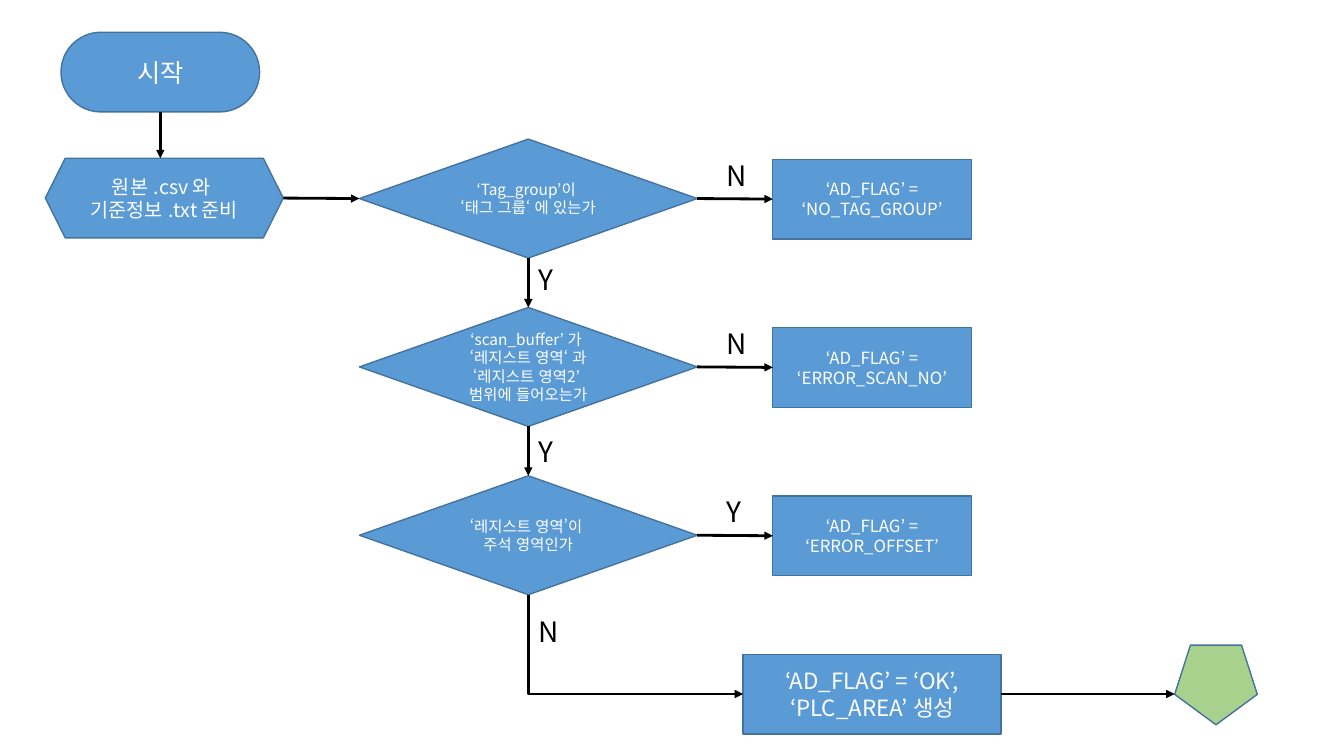
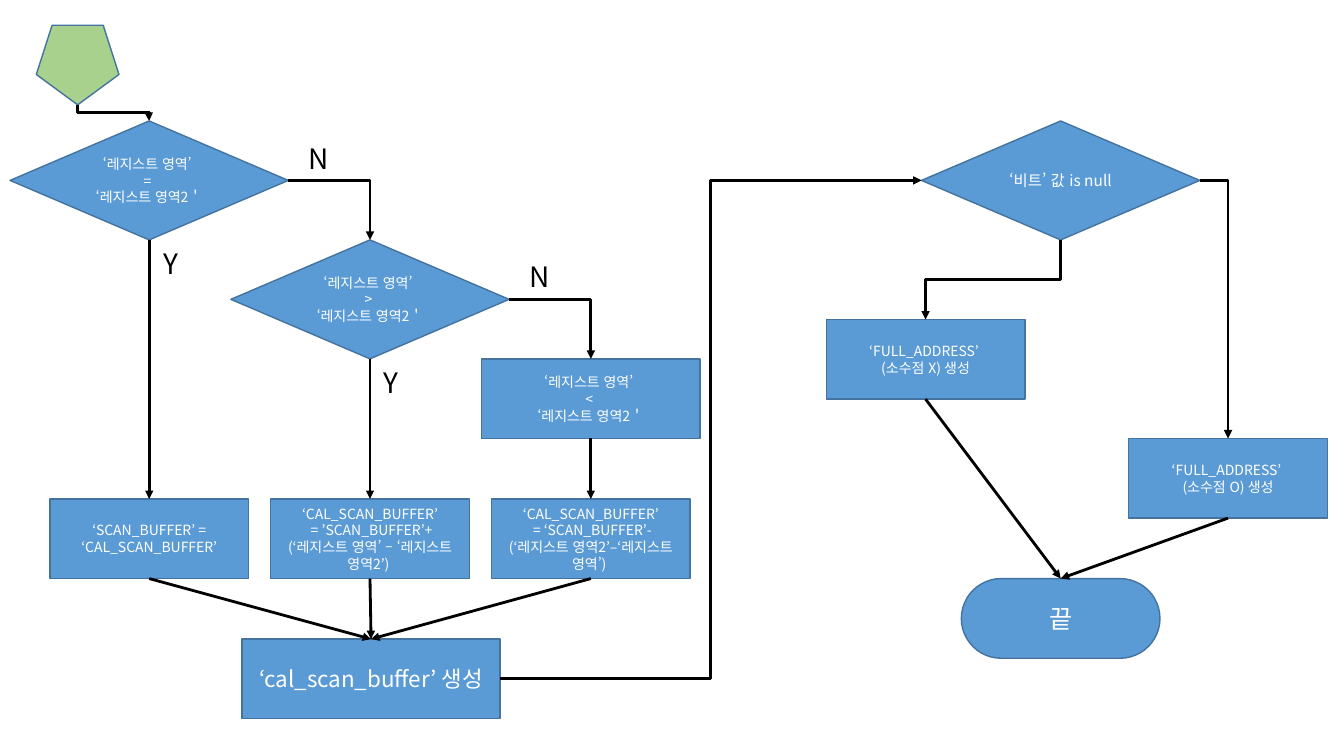
import pptx
import pptx.dml.color
import pptx.enum.lang
import pptx.enum.shapes
import pptx.enum.text
import pptx.oxml.ns
import pptx.util
import lxml.etree

Inches = pptx.util.Inches
Color = pptx.dml.color.RGBColor
Kind = pptx.enum.shapes.MSO_SHAPE
Line = pptx.enum.shapes.MSO_CONNECTOR
Align = pptx.enum.text.PP_ALIGN
qn = pptx.oxml.ns.qn

BLUE = Color(0x5B, 0x9B, 0xD5)
EDGE = Color(0x43, 0x73, 0x9E)
GREEN = Color(0xA9, 0xD1, 0x8E)
WHITE = Color(0xFF, 0xFF, 0xFF)
BLACK = Color(0, 0, 0)
FONT = "Noto Sans CJK KR"

STEP = (1.97, 0.79)
WIDE = (2.56, 0.79)
TEST = (3.35, 1.18)
FORK = (2.76, 1.18)
TAG = (0.82, 0.79)
SIDES = {"top": (0.5, 0), "left": (0, 0.5), "bottom": (0.5, 1), "right": (1, 0.5)}


def write(shape, text, size=10, color=WHITE, align=Align.CENTER):
    """Put text into a shape, one paragraph for each line."""
    frame = shape.text_frame
    for i, line in enumerate(text.split("\n")):
        para = frame.paragraphs[0] if i == 0 else frame.add_paragraph()
        para.alignment = align
        run = para.add_run()
        run.text = line
        font = run.font
        font.size = pptx.util.Pt(size)
        font.name = FONT
        font.color.rgb = color
        font.language_id = pptx.enum.lang.MSO_LANGUAGE_ID.KOREAN
        east = lxml.etree.SubElement(font._element, qn("a:ea"))
        east.set("typeface", FONT)


def node(slide, kind, mid, top, size, text="", points=10, fill=BLUE):
    """Add a flowchart shape centred on mid, with its top at top."""
    wide, high = size
    shape = slide.shapes.add_shape(
        kind, Inches(mid - wide / 2), Inches(top), Inches(wide), Inches(high))
    shape.shadow.inherit = False
    shape.fill.solid()
    shape.fill.fore_color.rgb = fill
    shape.line.color.rgb = EDGE
    shape.line.width = pptx.util.Pt(1)
    shape.text_frame.word_wrap = True
    shape.text_frame.vertical_anchor = pptx.enum.text.MSO_ANCHOR.MIDDLE
    if text:
        write(shape, text, size=points)
    return shape


def pill(slide, mid, top, text):
    """Add a rounded start or end shape."""
    shape = node(slide, Kind.ROUNDED_RECTANGLE, mid, top, STEP, text, 18)
    shape.adjustments[0] = 0.5
    return shape


def jump(slide, mid, top):
    """Add the green pentagon that joins the two slides."""
    shape = node(slide, Kind.REGULAR_PENTAGON, mid, top, TAG, fill=GREEN)
    shape.rotation = 180
    return shape


def label(slide, left, top, text):
    """Add an answer beside an arrow."""
    box = slide.shapes.add_textbox(
        Inches(left), Inches(top), Inches(0.33), Inches(0.44))
    box.text_frame.word_wrap = False
    box.text_frame.auto_size = pptx.enum.text.MSO_AUTO_SIZE.SHAPE_TO_FIT_TEXT
    write(box, text, size=20, color=BLACK, align=Align.LEFT)


def point(shape, side):
    """Return the middle of one side of a shape."""
    across, down = SIDES[side]
    return (int(shape.left + shape.width * across),
            int(shape.top + shape.height * down))


def arrow(slide, start, end, bend=0, down=False):
    """Draw an arrow between points, straight or as a bent connector."""
    (ax, ay), (bx, by) = start, end
    if down:
        mx, my = (ax + bx) // 2, (ay + by) // 2
        long, short = (by - ay) // 2, (bx - ax) // 2
        ax, ay, bx, by = mx - long, my + short, mx + long, my - short
    line = slide.shapes.add_connector(
        Line.ELBOW if bend else Line.STRAIGHT, ax, ay, bx, by)
    line.line.color.rgb = BLACK
    line.line.width = pptx.util.Pt(2)
    shape = line._element.spPr
    if bend:
        shape.find(qn("a:prstGeom")).set("prst", f"bentConnector{bend}")
    if down:
        shape.find(qn("a:xfrm")).set("rot", "5400000")
    tail = lxml.etree.SubElement(shape.find(qn("a:ln")), qn("a:tailEnd"))
    tail.set("type", "triangle")
    lxml.etree.SubElement(shape, qn("a:effectLst"))


def link(slide, first, side, last, goal, bend=0):
    """Join a side of one shape to a side of another."""
    arrow(slide, point(first, side), point(last, goal), bend,
          down=bool(bend) and side == "bottom")


def intro(slide, x, y):
    """Draw the start and the input files; return the input shape."""
    start = pill(slide, x + 1.14, y, "시작")
    files = node(slide, Kind.HEXAGON, x + 1.18, y + 1.25, (2.36, 0.79),
                 "원본 .csv 와 \n기준정보 .txt 준비", 14)
    foot = point(start, "bottom")
    arrow(slide, foot, (foot[0], files.top))
    return files


def checks(slide, x, y):
    """Draw three checks with their error flags; return first and last."""
    rows = [
        ("‘Tag_group’이 \n‘태그 그룹‘ 에 있는가", "NO_TAG_GROUP", "N", "Y", 1.18),
        ("‘scan_buffer’ 가 \n‘레지스트 영역‘ 과 ‘레지스트 영역2’ \n범위에 들어오는가",
         "ERROR_SCAN_NO", "N", "Y", 1.21),
        ("‘레지스트 영역’이 \n주석 영역인가", "ERROR_OFFSET", "Y", "N", 1.33),
    ]
    tests = []
    for i, (ask, flag, out, onward, drop) in enumerate(rows):
        top = y + 1.67 * i
        test = node(slide, Kind.DIAMOND, x + 1.67, top, TEST, ask, 11)
        error = node(slide, Kind.RECTANGLE, x + 5.08, top + 0.2, STEP,
                     f"‘AD_FLAG’ = ‘{flag}’", 12)
        link(slide, test, "right", error, "left")
        label(slide, x + 3.54, top + 0.14, out)
        label(slide, x + 1.67, top + drop, onward)
        if tests:
            link(slide, tests[-1], "bottom", test, "top")
        tests.append(test)
    return tests[0], tests[-1]


def result(slide, x, y):
    """Draw the good result and the jump; return the result shape."""
    good = node(slide, Kind.RECTANGLE, x + 1.28, y + 0.09, WIDE,
                "‘AD_FLAG’ = ‘OK’,\n‘PLC_AREA’ 생성", 16)
    onward = jump(slide, x + 4.69, y)
    start = point(good, "right")
    arrow(slide, start, (onward.left, start[1]))
    return good


def offsets(slide, x, y):
    """Draw the three offset cases; return the first and the merged step."""
    cases = [
        ("=", "‘SCAN_BUFFER’ = ‘CAL_SCAN_BUFFER’"),
        (">", "‘CAL_SCAN_BUFFER’\n = ’SCAN_BUFFER’+(‘레지스트 영역’ – ‘레지스트 영역2’) "),
        ("<", "‘CAL_SCAN_BUFFER’\n = ‘SCAN_BUFFER’-(‘레지스트 영역2’–‘레지스트 영역’) "),
    ]
    merge = node(slide, Kind.RECTANGLE, x + 3.58, y + 5.14, WIDE,
                 "‘cal_scan_buffer’ 생성", 16)
    tests = []
    for i, (sign, sums) in enumerate(cases):
        mid, top = x + 1.38 + 2.19 * i, y + 1.18 * i
        final = i == len(cases) - 1
        kind, size = (Kind.RECTANGLE, (2.17, 0.79)) if final else (Kind.DIAMOND, FORK)
        test = node(slide, kind, mid, top, size,
                    f"‘레지스트 영역’ \n{sign} \n‘레지스트 영역2＇")
        step = node(slide, Kind.RECTANGLE, mid, y + 3.75, STEP, sums)
        link(slide, test, "bottom", step, "top")
        link(slide, step, "bottom", merge, "top")
        if tests:
            link(slide, tests[-1], "right", test, "top", bend=2)
        if not final:
            label(slide, mid + 0.04, top + 1.2, "Y")
            label(slide, mid + 1.48, top + 0.15, "N")
        tests.append(test)
    return tests[0], merge


def address(slide, x, y):
    """Draw the address cases down to the end; return the bit check."""
    test = node(slide, Kind.DIAMOND, x + 2.32, y, FORK, "‘비트’ 값 is null", 11)
    end = pill(slide, x + 2.32, y + 4.54, "끝")
    cases = [("X", 0.98, 1.97, "bottom", 3), ("O", 3.98, 3.15, "right", 2)]
    for mark, mid, top, side, bend in cases:
        step = node(slide, Kind.RECTANGLE, x + mid, y + top, STEP,
                    f"‘FULL_ADDRESS’ \n(소수점 {mark}) 생성")
        link(slide, test, side, step, "top", bend)
        link(slide, step, "bottom", end, "top")
    return test


def flags(slide):
    """Build the slide that sets the flags."""
    files = intro(slide, 0.45, 0.32)
    first, last = checks(slide, 3.57, 1.38)
    good = result(slide, 7.37, 6.4)
    link(slide, files, "right", first, "left")
    arrow(slide, point(last, "bottom"), point(good, "left"), bend=2, down=True)


def buffers(slide):
    """Build the slide that works out buffers and addresses."""
    entry = jump(slide, 0.77, 0.25)
    first, merge = offsets(slide, 0.1, 1.2)
    test = address(slide, 8.2, 1.2)
    link(slide, entry, "bottom", first, "top", bend=3)
    link(slide, merge, "right", test, "left", bend=3)


deck = pptx.Presentation()
deck.slide_width = Inches(13.33)
deck.slide_height = Inches(7.5)
for build in (flags, buffers):
    build(deck.slides.add_slide(deck.slide_layouts[6]))
deck.save("out.pptx")
